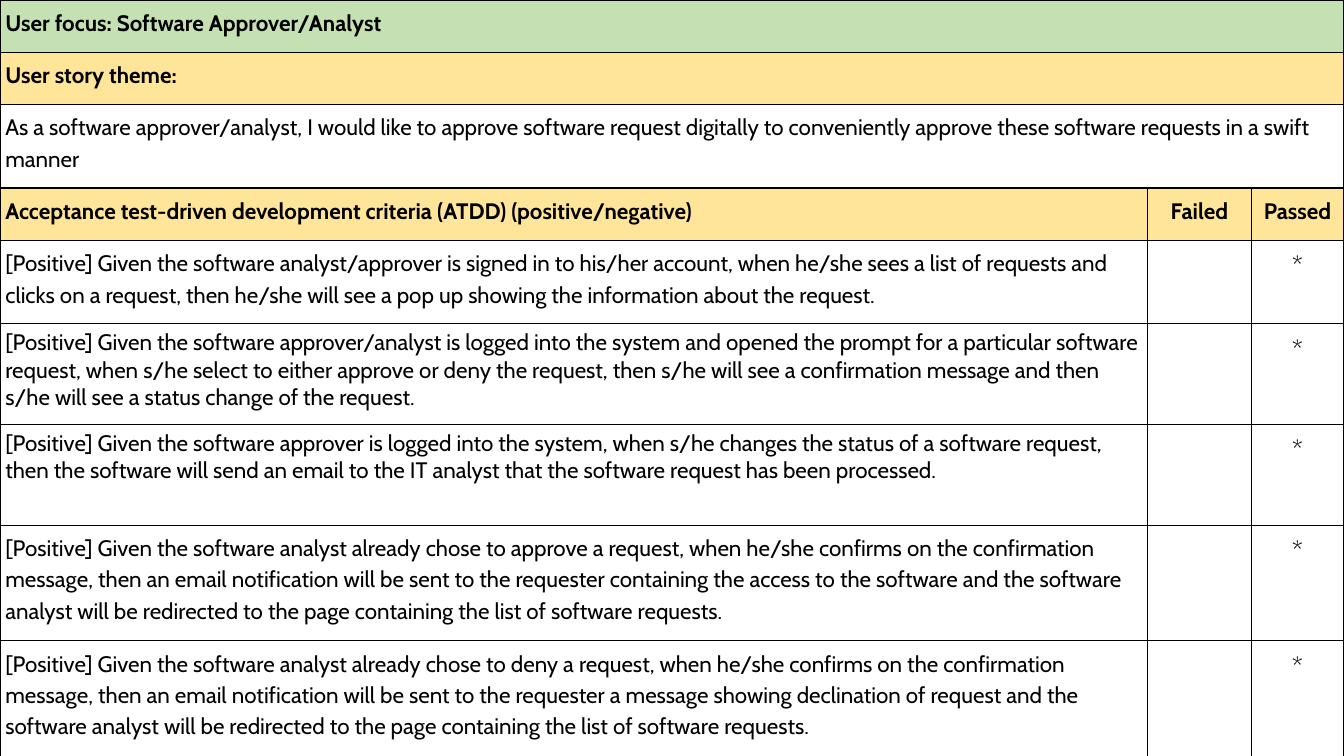
from lxml import etree
from pptx import Presentation
from pptx.dml.color import RGBColor
from pptx.enum.text import PP_ALIGN
from pptx.oxml.ns import qn
from pptx.util import Inches, Pt

LEFT, CENTER = PP_ALIGN.LEFT, PP_ALIGN.CENTER
COLORS = {"green": "C5E0B3", "yellow": "FFE599", "black": "000000"}
FONT = "Cabin"
SLIDE_WIDTH = 10
SLIDE_HEIGHT = SLIDE_WIDTH * 9 / 16
COLUMN_WIDTHS = [8.54, 0.77, 0.69]
CELL_MARGIN = Inches(0.04)
BORDER_WIDTH = Pt(0.75)

# Row height, fill, bold, line spacing, space after, cell texts (one text spans the row)
ROWS = [
    (0.39, "green", True, 1.15, 2, ["User focus: Software Approver/Analyst"]),
    (0.39, "yellow", True, 1.15, 2, ["User story theme:"]),
    (0.62, None, False, 1.15, 2, [
        "As a software approver/analyst, I would like to approve software request digitally "
        "to conveniently approve these software requests in a swift manner"]),
    (0.39, "yellow", True, 1.15, 2, [
        "Acceptance test-driven development criteria (ATDD) (positive/negative)",
        "Failed", "Passed"]),
    (0.62, None, False, 1.15, 2, [
        "[Positive] Given the software analyst/approver is signed in to his/her account, when "
        "he/she sees a list of requests and clicks on a request, then he/she will see a pop up "
        "showing the information about the request.", "", "*"]),
    (0.75, None, False, 1.0, 0, [
        "[Positive] Given the software approver/analyst is logged into the system and opened the "
        "prompt for a particular software request, when s/he select to either approve or deny the "
        "request, then s/he will see a confirmation message and then s/he will see a status "
        "change of the request.", "", "*"]),
    (0.75, None, False, 1.0, 0, [
        "[Positive] Given the software approver is logged into the system, when s/he changes the "
        "status of a software request, then the software will send an email to the IT analyst "
        "that the software request has been processed.", "", "*"]),
    (0.86, None, False, 1.15, 2, [
        "[Positive] Given the software analyst already chose to approve a request, when he/she "
        "confirms on the confirmation message, then an email notification will be sent to the "
        "requester containing the access to the software and the software analyst will be "
        "redirected to the page containing the list of software requests.", "", "*"]),
    (0.86, None, False, 1.15, 2, [
        "[Positive] Given the software analyst already chose to deny a request, when he/she "
        "confirms on the confirmation message, then an email notification will be sent to the "
        "requester a message showing declination of request and the software analyst will be "
        "redirected to the page containing the list of software requests.", "", "*"]),
]


def add_borders(cell):
    properties = cell._tc.get_or_add_tcPr()
    for side in ("a:lnL", "a:lnR", "a:lnT", "a:lnB"):
        line = etree.SubElement(properties, qn(side), w=str(BORDER_WIDTH))
        fill = etree.SubElement(line, qn("a:solidFill"))
        etree.SubElement(fill, qn("a:srgbClr"), val=COLORS["black"])


presentation = Presentation()
presentation.slide_width = Inches(SLIDE_WIDTH)
presentation.slide_height = Inches(SLIDE_HEIGHT)
slide = presentation.slides.add_slide(presentation.slide_layouts[6])

table = slide.shapes.add_table(
    len(ROWS), len(COLUMN_WIDTHS), 0, 0,
    presentation.slide_width, presentation.slide_height).table
table.first_row = table.horz_banding = False
for column, width in zip(table.columns, COLUMN_WIDTHS):
    column.width = Inches(width)

for row_index, (height, fill, bold, spacing, space_after, texts) in enumerate(ROWS):
    table.rows[row_index].height = Inches(height)
    for column_index in range(len(COLUMN_WIDTHS)):
        cell = table.cell(row_index, column_index)
        cell.margin_left = cell.margin_right = CELL_MARGIN
        cell.margin_top = cell.margin_bottom = CELL_MARGIN
        add_borders(cell)
        if fill:
            cell.fill.solid()
            cell.fill.fore_color.rgb = RGBColor.from_string(COLORS[fill])
        else:
            cell.fill.background()
        if column_index >= len(texts):
            continue
        text = texts[column_index]
        is_mark = text == "*"
        cell.text = text
        paragraph = cell.text_frame.paragraphs[0]
        paragraph.alignment = CENTER if column_index else LEFT
        paragraph.line_spacing = 1.15 if is_mark else spacing
        paragraph.space_after = Pt(0 if is_mark else space_after)
        paragraph.font.name = FONT
        paragraph.font.size = Pt(14 if is_mark else 12)
        paragraph.font.bold = bold
        paragraph.font.color.rgb = RGBColor.from_string(COLORS["black"])
    if len(texts) == 1:
        table.cell(row_index, 0).merge(table.cell(row_index, len(COLUMN_WIDTHS) - 1))

presentation.save("out.pptx")
